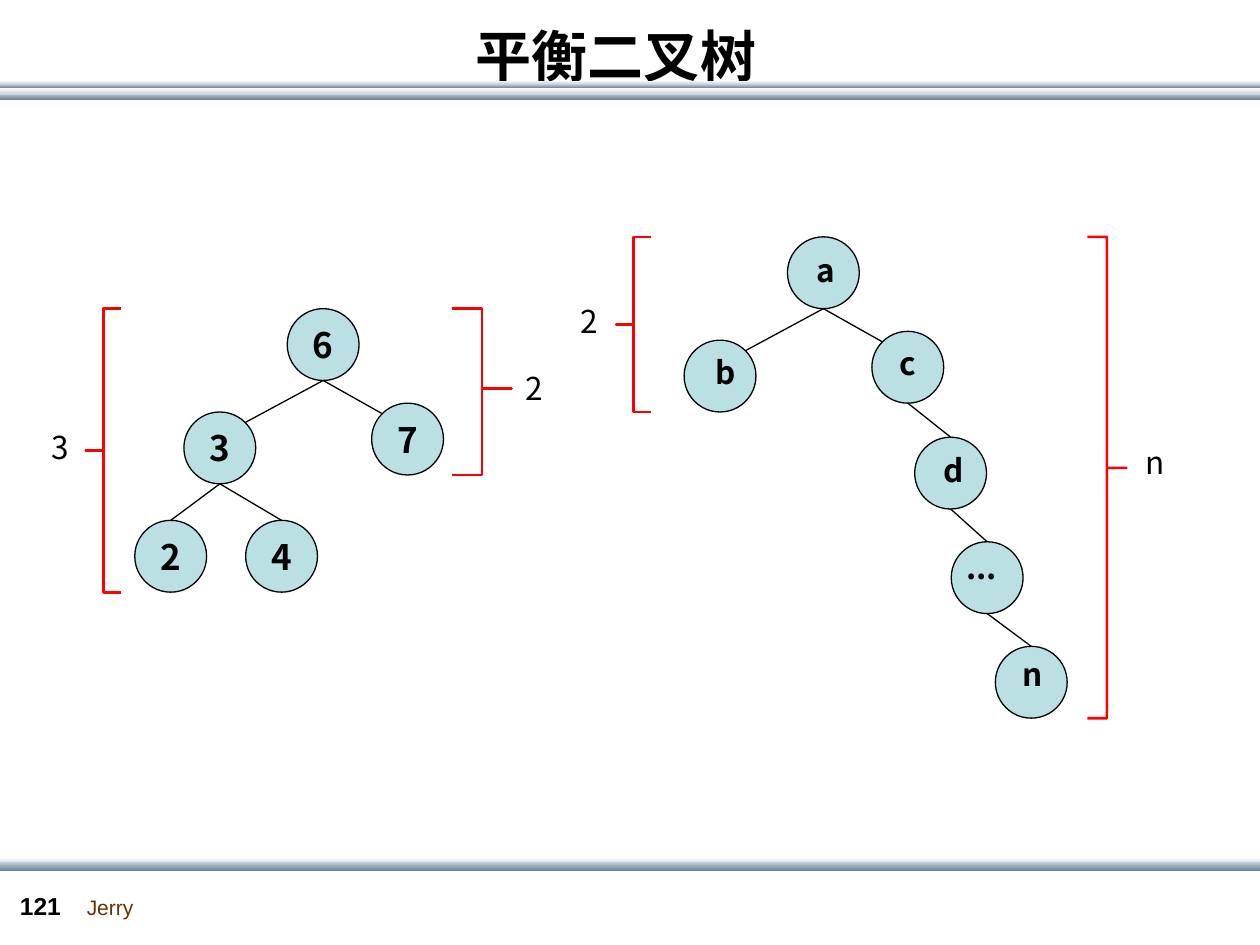
from lxml.etree import SubElement
from pptx import Presentation
from pptx.dml.color import RGBColor
from pptx.enum.shapes import MSO_CONNECTOR, MSO_SHAPE
from pptx.enum.text import MSO_ANCHOR, PP_ALIGN
from pptx.oxml.ns import qn
from pptx.util import Inches, Pt

HEX = {"white": "FFFFFF", "pale": "C8D1DA", "steel": "6A839C", "node": "BBE0E3",
       "black": "000000", "red": "FF0000", "brown": "663300"}
RGB = {name: RGBColor.from_string(code) for name, code in HEX.items()}
SANS = "Noto Sans CJK SC"


def write(shape, text, size, bold=False, face=SANS, color="black", align=None):
    shape.text_frame.text = text
    para = shape.text_frame.paragraphs[0]
    para.alignment = align
    font = para.runs[0].font
    font.size, font.bold, font.name = Pt(size), bold, face
    font.color.rgb = RGB[color]
    SubElement(para.runs[0]._r.get_or_add_rPr(), qn("a:ea"), typeface=face)


def label(left, top, width, height, text, size, wrap=True, **style):
    box = slide.shapes.add_textbox(Inches(left), Inches(top), Inches(width), Inches(height))
    box.text_frame.word_wrap = wrap
    write(box, text, size, **style)


deck = Presentation()
deck.slide_width, deck.slide_height = Inches(10), Inches(7.5)
slide = deck.slides.add_slide(deck.slide_layouts[5])

title = slide.shapes.title
title.left, title.top = Inches(0.39), Inches(-0.19)
title.width, title.height = Inches(9), Inches(1.25)
title.text_frame.vertical_anchor = MSO_ANCHOR.MIDDLE
write(title, "平衡二叉树", 32, bold=True, align=PP_ALIGN.CENTER)

bars = [(0.74, 0.05, "pale", "steel"), (0.67, 0.03, "pale", "steel"),
        (0.7, 0.05, "white", "pale"), (0.64, 0.03, "white", "pale"),
        (6.81, 0.05, "white", "pale"), (6.84, 0.07, "pale", "steel")]
for top, height, start, end in bars:
    bar = slide.shapes.add_shape(MSO_SHAPE.RECTANGLE, 0, Inches(top), Inches(10.01), Inches(height))
    bar.shadow.inherit = False
    bar.line.fill.background()
    bar.fill.gradient()
    bar.fill.gradient_angle = 270
    for stop, name, place in zip(bar.fill.gradient_stops, (start, end), (0, 1)):
        stop.color.rgb = RGB[name]
        stop.position = place

label(0.59, 7.05, 0.58, 0.3, "Jerry", 12, wrap=False, face="Arial", color="brown")
label(0.06, 7.02, 0.55, 0.33, "121", 14, bold=True, face="Arial")

SIZE = 0.57
nodes = {"6": (2.28, 2.45), "3": (1.46, 3.27), "2": (1.07, 4.13), "7": (2.95, 3.2),
         "4": (1.95, 4.13), "a": (6.25, 1.88), "b": (5.43, 2.7), "c": (6.92, 2.63),
         "d": (7.26, 3.47), "...": (7.55, 4.3), "n": (7.9, 5.13)}
for text, (left, top) in nodes.items():
    node = slide.shapes.add_shape(MSO_SHAPE.OVAL, Inches(left), Inches(top), Inches(SIZE), Inches(SIZE))
    node.shadow.inherit = False
    node.fill.solid()
    node.fill.fore_color.rgb = RGB["node"]
    node.line.color.rgb = RGB["black"]
    node.line.width = Pt(0.75)
    if text.isdigit():
        write(node, text, 20, bold=True, align=PP_ALIGN.CENTER)

ends = {"left": (0.146, 0.146), "top": (0.5, 0), "right": (0.854, 0.146)}
edges = [("6", "3", "right"), ("6", "7", "left"), ("3", "2", "top"), ("3", "4", "top"),
         ("a", "b", "right"), ("a", "c", "left"), ("c", "d", "top"),
         ("d", "...", "top"), ("...", "n", "top")]
for root, leaf, side in edges:
    (x1, y1), (x2, y2), (dx, dy) = nodes[root], nodes[leaf], ends[side]
    edge = slide.shapes.add_connector(
        MSO_CONNECTOR.STRAIGHT, Inches(x1 + SIZE / 2), Inches(y1 + SIZE),
        Inches(x2 + SIZE * dx), Inches(y2 + SIZE * dy))
    edge.line.color.rgb = RGB["black"]
    edge.line.width = Pt(0.75)
    SubElement(edge._element.spPr, qn("a:effectLst"))

marks = [("a", 6.38, 1.94, 0.31), ("b", 5.58, 2.75, 0.31), ("c", 7.04, 2.68, 0.33),
         ("d", 7.39, 3.53, 0.31), ("...", 7.57, 4.3, 0.64), ("n", 8.02, 5.15, 0.31)]
for text, left, top, width in marks:
    label(left, top, width, 0.4, text, 18, bold=True)

braces = [(0.68, 2.45, 0.28, 2.25, True, 0.5, "3", 0.31, 3.35),
          (3.59, 2.45, 0.47, 1.32, False, 0.48, "2", 4.07, 2.88),
          (4.89, 1.88, 0.28, 1.39, True, 0.5, "2", 4.51, 2.35),
          (8.63, 1.88, 0.31, 3.82, False, 0.48, "n", 8.99, 3.47)]
for left, top, width, height, flip, tip, text, x, y in braces:
    brace = slide.shapes.add_shape(MSO_SHAPE.RIGHT_BRACE, Inches(left), Inches(top),
                                   Inches(width), Inches(height))
    brace.shadow.inherit = False
    brace.fill.background()
    brace.line.color.rgb = RGB["red"]
    brace.line.width = Pt(1.5)
    brace.adjustments[0], brace.adjustments[1] = 0, tip
    if flip:
        brace._element.spPr.xfrm.set("flipH", "1")
    label(x, y, 0.37, 0.4, text, 18)

deck.save("out.pptx")
